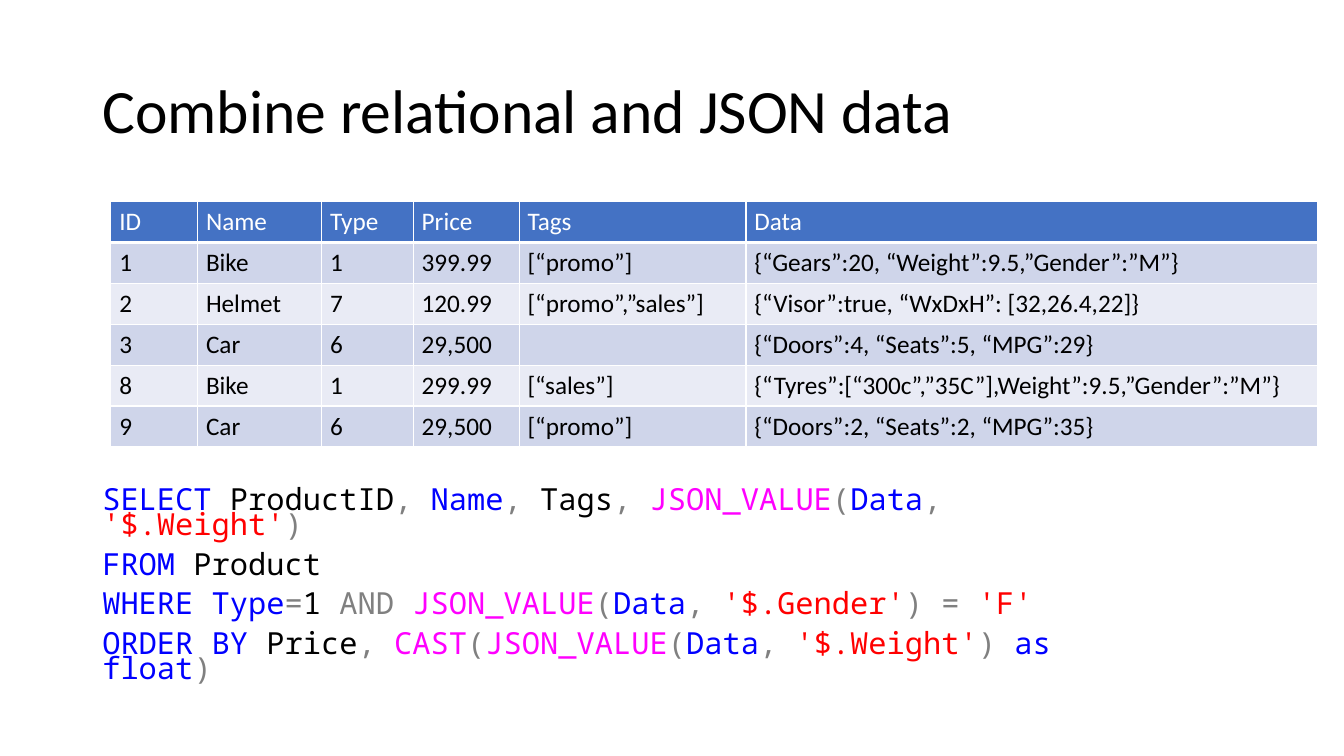
from dataclasses import dataclass

from lxml import etree
from pptx import Presentation
from pptx.dml.color import RGBColor
from pptx.enum.text import MSO_ANCHOR
from pptx.oxml.ns import qn
from pptx.slide import Slide
from pptx.table import _Cell
from pptx.text.text import TextFrame
from pptx.util import Pt

MIDDLE = MSO_ANCHOR.MIDDLE


@dataclass(frozen=True)
class Theme:
    text_font: str = "Calibri"
    code_font: str = "Noto Sans Mono"
    title_size: float = 44
    table_size: float = 18
    code_size: float = 21.7
    black: str = "000000"
    white: str = "FFFFFF"
    header: str = "4472C4"
    bands: tuple[str, str] = ("CFD5EA", "E9EBF5")
    keyword: str = "0000FF"
    function: str = "FF00FF"
    string: str = "FF0000"
    operator: str = "808080"


@dataclass(frozen=True)
class Box:
    left: float
    top: float
    width: float
    height: float


@dataclass(frozen=True)
class Token:
    text: str
    color: str


THEME = Theme()
TITLE_BOX = Box(66, 28.8, 828, 104.4)
QUERY_BOX = Box(66, 346.3, 748, 139.7)
TABLE_LEFT, TABLE_TOP, ROW_HEIGHT = 79.2, 144, 29.2
COLUMN_WIDTHS = (62, 88.6, 65.5, 75.6, 162, 408.2)
PRODUCTS = (
    ("ID", "Name", "Type", "Price", "Tags", "Data"),
    ("1", "Bike", "1", "399.99", "[“promo”]", "{“Gears”:20, “Weight”:9.5,”Gender”:”M”}"),
    ("2", "Helmet", "7", "120.99", "[“promo”,”sales”]", "{“Visor”:true, “WxDxH”: [32,26.4,22]}"),
    ("3", "Car", "6", "29,500", "", "{“Doors”:4, “Seats”:5, “MPG”:29}"),
    ("8", "Bike", "1", "299.99", "[“sales”]", "{“Tyres”:[“300c”,”35C”],Weight”:9.5,”Gender”:”M”}"),
    ("9", "Car", "6", "29,500", "[“promo”]", "{“Doors”:2, “Seats”:2, “MPG”:35}"),
)


def keyword(text: str) -> Token:
    return Token(text, THEME.keyword)


def plain(text: str) -> Token:
    return Token(text, THEME.black)


def function(text: str) -> Token:
    return Token(text, THEME.function)


def string(text: str) -> Token:
    return Token(text, THEME.string)


def operator(text: str) -> Token:
    return Token(text, THEME.operator)


def json_value(field: str) -> tuple[Token, ...]:
    return (function("JSON_VALUE"), operator("("), keyword("Data"),
            operator(", "), string(f"'$.{field}'"))


QUERY = (
    (keyword("SELECT "), plain("ProductID"), operator(", "), keyword("Name"),
     operator(","), plain(" Tags"), operator(", "), *json_value("Weight"), operator(")")),
    (keyword("FROM"), plain(" Product")),
    (keyword("WHERE Type"), operator("="), plain("1 "), operator("AND "),
     *json_value("Gender"), operator(") = "), string("'F'")),
    (keyword("ORDER BY"), plain(" Price"), operator(", "), function("CAST"), operator("("),
     *json_value("Weight"), operator(") "), keyword("as float"), operator(")")),
)


def rgb(color: str) -> RGBColor:
    return RGBColor.from_string(color)


def add_text_box(slide: Slide, box: Box) -> TextFrame:
    frame = slide.shapes.add_textbox(
        Pt(box.left), Pt(box.top), Pt(box.width), Pt(box.height)).text_frame
    frame.word_wrap = True
    return frame


def add_title(slide: Slide, title: str) -> None:
    frame = add_text_box(slide, TITLE_BOX)
    frame.vertical_anchor = MIDDLE
    heading = frame.paragraphs[0]
    heading.text = title
    heading.line_spacing = 0.9
    heading.font.name = THEME.text_font
    heading.font.size = Pt(THEME.title_size)
    heading.font.color.rgb = rgb(THEME.black)


def add_query(slide: Slide) -> None:
    frame = add_text_box(slide, QUERY_BOX)
    for index, tokens in enumerate(QUERY):
        line = frame.add_paragraph() if index else frame.paragraphs[0]
        line.line_spacing = 0.7
        line.space_before = Pt(10 if index else 0)
        line.font.name = THEME.code_font
        line.font.size = Pt(THEME.code_size)
        for token in tokens:
            run = line.add_run()
            run.text = token.text
            run.font.color.rgb = rgb(token.color)


def set_borders(cell: _Cell, bottom_width: float) -> None:
    properties = cell._tc.get_or_add_tcPr()
    for side, width in (("L", 1), ("R", 1), ("T", 1), ("B", bottom_width)):
        border = etree.SubElement(properties, qn(f"a:ln{side}"), w=str(Pt(width)))
        fill = etree.SubElement(border, qn("a:solidFill"))
        etree.SubElement(fill, qn("a:srgbClr"), val=THEME.white)


def style_cell(cell: _Cell, text: str, row: int) -> None:
    is_header = row == 0
    cell.margin_left = cell.margin_right = Pt(6)
    cell.margin_top = cell.margin_bottom = Pt(3.6)
    set_borders(cell, 3 if is_header else 1)
    cell.fill.solid()
    cell.fill.fore_color.rgb = rgb(THEME.header if is_header else THEME.bands[(row - 1) % 2])
    entry = cell.text_frame.paragraphs[0]
    entry.text = text
    entry.font.name = THEME.text_font
    entry.font.size = Pt(THEME.table_size)
    entry.font.bold = False
    entry.font.color.rgb = rgb(THEME.white if is_header else THEME.black)


def add_products(slide: Slide) -> None:
    table = slide.shapes.add_table(
        len(PRODUCTS), len(COLUMN_WIDTHS), Pt(TABLE_LEFT), Pt(TABLE_TOP),
        Pt(sum(COLUMN_WIDTHS)), Pt(ROW_HEIGHT * len(PRODUCTS))).table
    for column, width in zip(table.columns, COLUMN_WIDTHS):
        column.width = Pt(width)
    for row, product in enumerate(PRODUCTS):
        table.rows[row].height = Pt(ROW_HEIGHT)
        for column, text in enumerate(product):
            style_cell(table.cell(row, column), text, row)


def main() -> None:
    presentation = Presentation()
    presentation.slide_width = Pt(960)
    presentation.slide_height = Pt(540)
    slide = presentation.slides.add_slide(presentation.slide_layouts[6])
    add_title(slide, "Combine relational and JSON data")
    add_query(slide)
    add_products(slide)
    presentation.save("out.pptx")


if __name__ == "__main__":
    main()
